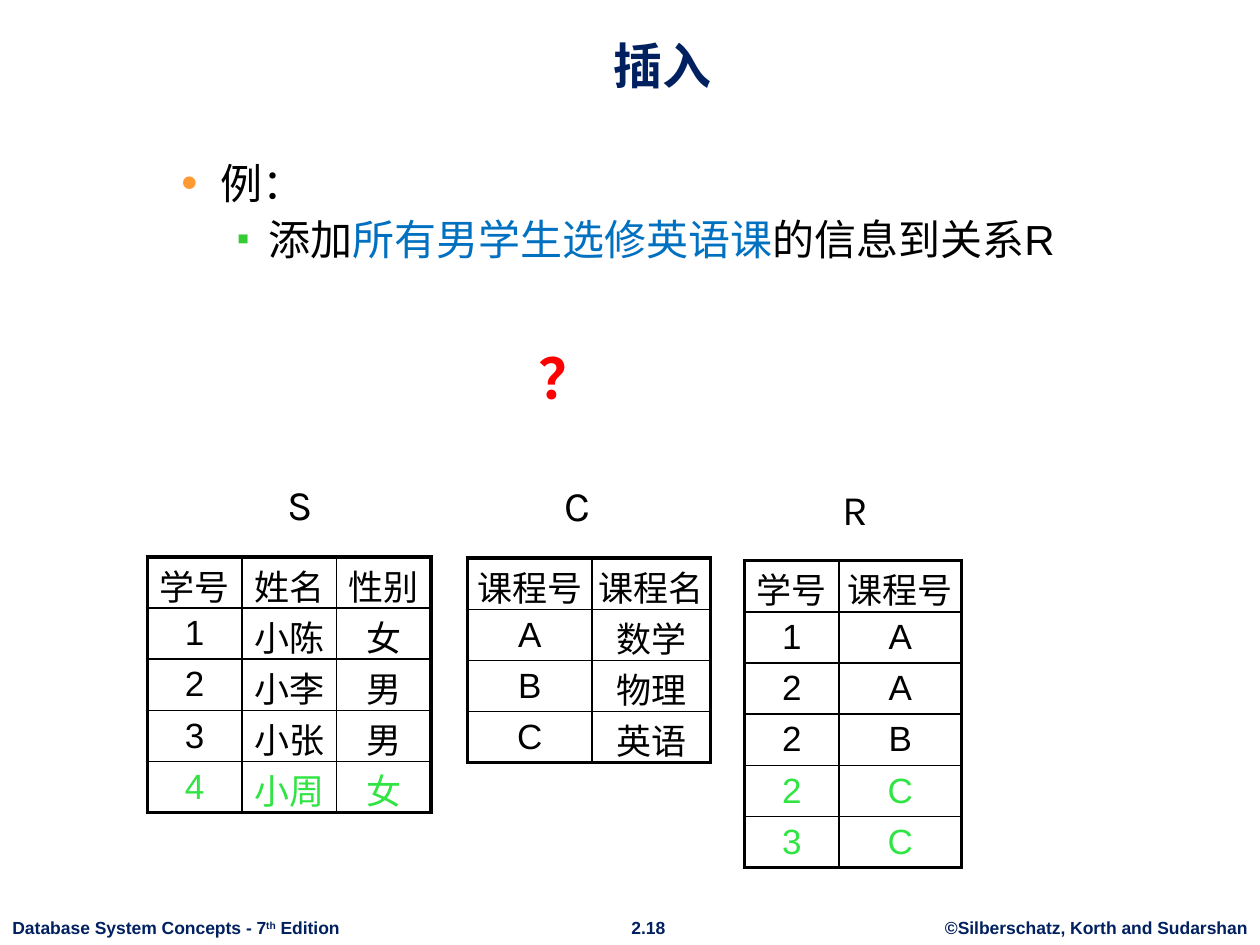
from dataclasses import dataclass

import pptx
import pptx.dml.color
import pptx.enum.text
import pptx.oxml.ns
import pptx.util
from lxml import etree

ALIGN = pptx.enum.text.PP_ALIGN
ANCHOR = pptx.enum.text.MSO_ANCHOR
AUTO_SIZE = pptx.enum.text.MSO_AUTO_SIZE


@dataclass(frozen=True)
class Theme:
    navy: str = "002060"
    ink: str = "000000"
    paper: str = "FFFFFF"
    topic: str = "0070C0"
    added: str = "30E444"
    question: str = "FF0000"
    first_bullet: str = "FF9933"
    second_bullet: str = "33CC33"
    font: str = "Arial"
    label_font: str = "Karla"
    title_size: int = 28
    body_size: int = 24
    cell_size: int = 20
    question_size: int = 32
    footer_size: int = 10
    frame_line: float = 2.25
    inner_line: float = 1


@dataclass(frozen=True)
class Place:
    col: float
    row: float
    cols: float
    rows: float


@dataclass(frozen=True)
class Words:
    text: str
    size: int
    color: str
    font: str
    bold: bool = False
    raised: bool = False


@dataclass(frozen=True)
class Note:
    place: Place
    words: tuple[Words, ...]
    align: ALIGN = ALIGN.CENTER
    wrap: bool = False
    line_spacing: float = 1.0


@dataclass(frozen=True)
class Relation:
    name: str
    name_place: Place
    col: float
    row: float
    widths: tuple[float, ...]
    tuples: tuple[tuple[str, ...], ...]
    added: int = 0


@dataclass(frozen=True)
class Bullet:
    level: int
    margin: float
    hanging: float
    mark: str
    color: str
    percent: int
    words: tuple[Words, ...]


THEME = Theme()
GRID_COLUMNS, GRID_ROWS = 100, 75
TUPLE_ROWS = 4.06
SLIDE_WIDTH, SLIDE_HEIGHT = pptx.util.Inches(10), pptx.util.Inches(7.5)


def across(cols: float) -> int:
    return round(SLIDE_WIDTH * cols / GRID_COLUMNS)


def down(rows: float) -> int:
    return round(SLIDE_HEIGHT * rows / GRID_ROWS)


def bounds(place: Place) -> tuple[int, int, int, int]:
    return across(place.col), down(place.row), across(place.cols), down(place.rows)


def add_words(paragraph, words: tuple[Words, ...]) -> None:
    for part in words:
        run = paragraph.add_run()
        run.text = part.text
        run.font.size = pptx.util.Pt(part.size)
        run.font.name = part.font
        run.font.bold = part.bold
        run.font.color.rgb = pptx.dml.color.RGBColor.from_string(part.color)
        if part.raised:
            run.font._element.set("baseline", "30000")


def body_words(text: str, color: str = THEME.ink) -> Words:
    return Words(text, THEME.body_size, color, THEME.font)


def footer_words(text: str, raised: bool = False) -> Words:
    return Words(text, THEME.footer_size, THEME.navy, THEME.font, True, raised)


def add_note(slide, note: Note) -> None:
    frame = slide.shapes.add_textbox(*bounds(note.place)).text_frame
    frame.word_wrap = note.wrap
    frame.auto_size = AUTO_SIZE.SHAPE_TO_FIT_TEXT
    paragraph = frame.paragraphs[0]
    paragraph.alignment = note.align
    paragraph.line_spacing = note.line_spacing
    add_words(paragraph, note.words)


def fill_placeholder(placeholder, place: Place, anchor: ANCHOR):
    placeholder.left, placeholder.top, placeholder.width, placeholder.height = bounds(place)
    frame = placeholder.text_frame
    frame.auto_size = AUTO_SIZE.NONE
    frame.vertical_anchor = anchor
    return frame


def format_bullet(paragraph, bullet: Bullet) -> None:
    paragraph.level = bullet.level
    properties = paragraph._p.get_or_add_pPr()
    properties.set("marL", str(across(bullet.margin)))
    properties.set("indent", str(-across(bullet.hanging)))
    tag = pptx.oxml.ns.qn
    color = etree.SubElement(properties, tag("a:buClr"))
    etree.SubElement(color, tag("a:srgbClr"), val=bullet.color)
    etree.SubElement(properties, tag("a:buSzPct"), val=str(bullet.percent * 1000))
    etree.SubElement(properties, tag("a:buFont"), typeface=THEME.font)
    etree.SubElement(properties, tag("a:buChar"), char=bullet.mark)


def add_border(cell, side: str, outer: bool) -> None:
    tag = pptx.oxml.ns.qn
    weight = THEME.frame_line if outer else THEME.inner_line
    line = etree.SubElement(cell._tc.get_or_add_tcPr(), tag(f"a:ln{side}"),
                            w=str(pptx.util.Pt(weight)))
    fill = etree.SubElement(line, tag("a:solidFill"))
    etree.SubElement(fill, tag("a:srgbClr"), val=THEME.ink)


def add_relation(slide, relation: Relation) -> None:
    height = len(relation.tuples)
    width = len(relation.widths)
    place = Place(relation.col, relation.row, sum(relation.widths), height * TUPLE_ROWS)
    table = slide.shapes.add_table(height, width, *bounds(place)).table
    table.first_row = table.horz_banding = False
    for column, cols in zip(table.columns, relation.widths):
        column.width = across(cols)
    for r, values in enumerate(relation.tuples):
        table.rows[r].height = down(TUPLE_ROWS)
        color = THEME.added if r >= height - relation.added else THEME.ink
        for c, value in enumerate(values):
            cell = table.cell(r, c)
            cell.margin_left = cell.margin_right = 0
            cell.margin_top = cell.margin_bottom = down(0.2)
            cell.vertical_anchor = ANCHOR.MIDDLE
            edges = {"L": c == 0, "R": c == width - 1, "T": r == 0, "B": r == height - 1}
            for side, outer in edges.items():
                add_border(cell, side, outer)
            cell.fill.solid()
            cell.fill.fore_color.rgb = pptx.dml.color.RGBColor.from_string(THEME.paper)
            paragraph = cell.text_frame.paragraphs[0]
            paragraph.alignment = ALIGN.CENTER
            add_words(paragraph, (Words(value, THEME.cell_size, color, THEME.font),))
    name = Words(relation.name, THEME.body_size, THEME.ink, THEME.label_font)
    add_note(slide, Note(relation.name_place, (name,), wrap=True))


FOOTERS = (
    Note(Place(74, 72.3, 26, 2.7), (footer_words("©Silberschatz, Korth and Sudarshan"),)),
    Note(Place(49, 72.3, 4.9, 2.7), (footer_words("2.18"),)),
    Note(Place(0, 72.3, 28.1, 2.7), (footer_words("Database System Concepts - 7"),
                                     footer_words("th", True), footer_words(" Edition")), ALIGN.LEFT),
)
EXAMPLE = (
    Bullet(1, 8.1, 3.1, "•", THEME.first_bullet, 110, (body_words("例："),)),
    Bullet(2, 11.9, 2.5, "▪", THEME.second_bullet, 85,
           (body_words("添加"), body_words("所有男学生选修英语课", THEME.topic),
            body_words("的信息到关系R"))),
)
RELATIONS = (
    Relation("R", Place(63.3, 37.9, 9.2, 5.1), 59.1, 44.5, (7.5, 9.7),
             (("学号", "课程号"), ("1", "A"), ("2", "A"), ("2", "B"), ("2", "C"), ("3", "C")), 2),
    Relation("S", Place(19.2, 37.5, 9.2, 5.1), 11.7, 44.2, (7.5, 7.5, 7.5),
             (("学号", "姓名", "性别"), ("1", "小陈", "女"), ("2", "小李", "男"),
              ("3", "小张", "男"), ("4", "小周", "女")), 1),
    Relation("C", Place(41.2, 37.6, 9.2, 5.1), 37.1, 44.3, (9.9, 9.4),
             (("课程号", "课程名"), ("A", "数学"), ("B", "物理"), ("C", "英语"))),
)
QUESTION = Note(Place(41.7, 26, 6.5, 6.5), (Words(
    "？", THEME.question_size, THEME.question, THEME.label_font, True),), line_spacing=1.15)


def main() -> None:
    deck = pptx.Presentation()
    deck.slide_width, deck.slide_height = SLIDE_WIDTH, SLIDE_HEIGHT
    slide = deck.slides.add_slide(deck.slide_layouts[1])
    for footer in FOOTERS:
        add_note(slide, footer)
    heading = fill_placeholder(slide.shapes.title, Place(8.4, 1.3, 88.3, 6.7), ANCHOR.BOTTOM)
    heading.paragraphs[0].alignment = ALIGN.CENTER
    add_words(heading.paragraphs[0],
              (Words("插入", THEME.title_size, THEME.navy, THEME.font, True),))
    example = fill_placeholder(slide.placeholders[1], Place(8.4, 12, 84.3, 53.6), ANCHOR.TOP)
    for index, bullet in enumerate(EXAMPLE):
        paragraph = example.add_paragraph() if index else example.paragraphs[0]
        format_bullet(paragraph, bullet)
        paragraph.space_before = pptx.util.Pt(3 if index else 0)
        add_words(paragraph, bullet.words)
    for relation in RELATIONS:
        add_relation(slide, relation)
    add_note(slide, QUESTION)
    deck.save("out.pptx")


if __name__ == "__main__":
    main()
